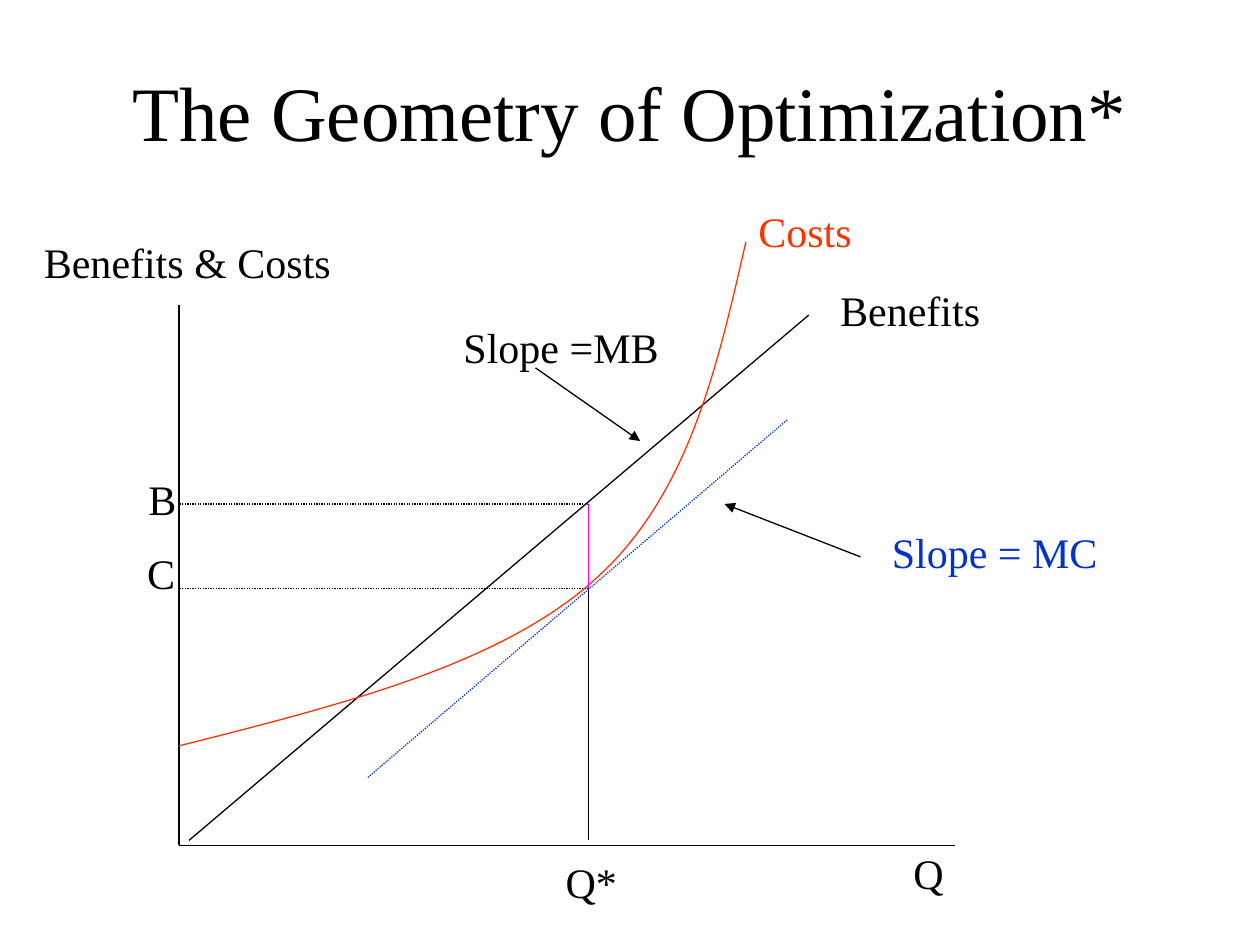
"""Build a slide on the geometry of optimization, with cost and benefit curves."""
from dataclasses import dataclass

from lxml import etree
from pptx import Presentation
from pptx import util as u
from pptx.dml import color
from pptx.enum import dml, shapes, text
from pptx.oxml import ns


@dataclass(frozen=True)
class Theme:
    font: str = "Times New Roman"
    title_size: int = 44
    label_size: int = 24
    line_width: float = 0.75
    black: str = "000000"
    red: str = "FF3300"
    blue: str = "0033CC"
    magenta: str = "FF00FF"


theme = Theme()
deck = Presentation()
deck.slide_width, deck.slide_height = u.Inches(10), u.Inches(7.5)
page = deck.slides.add_slide(deck.slide_layouts[6])


def add_label(words, left, top, width, height=0.5, tint=theme.black, size=theme.label_size):
    box = page.shapes.add_textbox(*map(u.Inches, (left, top, width, height)))
    box.text_frame.text = words
    box.text_frame.word_wrap = False
    para = box.text_frame.paragraphs[0]
    span = para.runs[0]
    span.font.name, span.font.size = theme.font, u.Pt(size)
    span.font.color.rgb = color.RGBColor.from_string(tint)
    return box


def add_line(start, end, tint=theme.black, dotted=False, arrow=False):
    line = page.shapes.add_connector(
        shapes.MSO_CONNECTOR.STRAIGHT, *map(u.Inches, (*start, *end)))
    line.line.width = u.Pt(theme.line_width)
    line.line.color.rgb = color.RGBColor.from_string(tint)
    if dotted:
        line.line.dash_style = dml.MSO_LINE.ROUND_DOT
    if arrow:
        etree.SubElement(line.line._get_or_add_ln(), ns.qn("a:tailEnd"), type="triangle")
    etree.SubElement(line._element.spPr, ns.qn("a:effectLst"))


title = add_label("The Geometry of Optimization*", 0.75, 0.25, 8.5, 1.25,
                  size=theme.title_size)
title.text_frame.word_wrap = True
title.text_frame.vertical_anchor = text.MSO_ANCHOR.MIDDLE
title.text_frame.paragraphs[0].alignment = text.PP_ALIGN.CENTER

axis_x, axis_y = 1.42, 6.71
optimum_x, benefit_y, cost_y = 4.67, 4, 4.67

add_line((axis_x, 2.42), (axis_x, axis_y))
add_line((axis_x, axis_y), (7.58, axis_y))
add_line((1.5, 6.67), (6.42, 2.5))

curve = [(axis_x, 5.92), (2.69, 5.6), (3.96, 5.28), (4.71, 4.61),
         (5.46, 3.95), (5.69, 2.93), (5.92, 1.92)]
points = [(u.Inches(x), u.Inches(y)) for x, y in curve]
builder = page.shapes.build_freeform(*points[0])
builder.add_line_segments(points[1:], close=False)
costs = builder.convert_to_shape()
costs.shadow.inherit = False
costs.fill.background()
costs.line.width = u.Pt(theme.line_width)
costs.line.color.rgb = color.RGBColor.from_string(theme.red)
segments = costs._element.xpath(".//a:lnTo")
for first in range(0, len(segments), 3):
    bend = etree.SubElement(segments[first].getparent(), ns.qn("a:cubicBezTo"))
    for segment in segments[first:first + 3]:
        bend.append(segment[0])
        segment.getparent().remove(segment)

add_line((optimum_x, benefit_y), (optimum_x, cost_y), theme.magenta)
for level in (benefit_y, cost_y):
    add_line((optimum_x, level), (axis_x, level), dotted=True)
add_line((optimum_x, cost_y), (optimum_x, 6.67))
add_line((2.92, 6.17), (6.25, 3.33), theme.blue, dotted=True)
add_line((6.83, 4.42), (5.75, 4), arrow=True)
add_line((4.25, 2.92), (5.08, 3.5), arrow=True)

for words, left, top, width, tint in (
    ("Q", 7.15, 6.68, 0.44, theme.black),
    ("Benefits & Costs", 0.25, 1.83, 2.48, theme.black),
    ("Benefits", 6.57, 2.21, 1.31, theme.black),
    ("Costs", 5.92, 1.58, 0.94, theme.red),
    ("Q*", 4.39, 6.75, 0.61, theme.black),
    ("B", 1.08, 3.71, 0.5, theme.black),
    ("C", 1.07, 4.3, 0.42, theme.black),
    ("Slope = MC", 6.98, 4.13, 1.83, theme.blue),
    ("Slope =MB", 3.58, 2.5, 1.75, theme.black),
):
    add_label(words, left, top, width, tint=tint)

deck.save("out.pptx")
